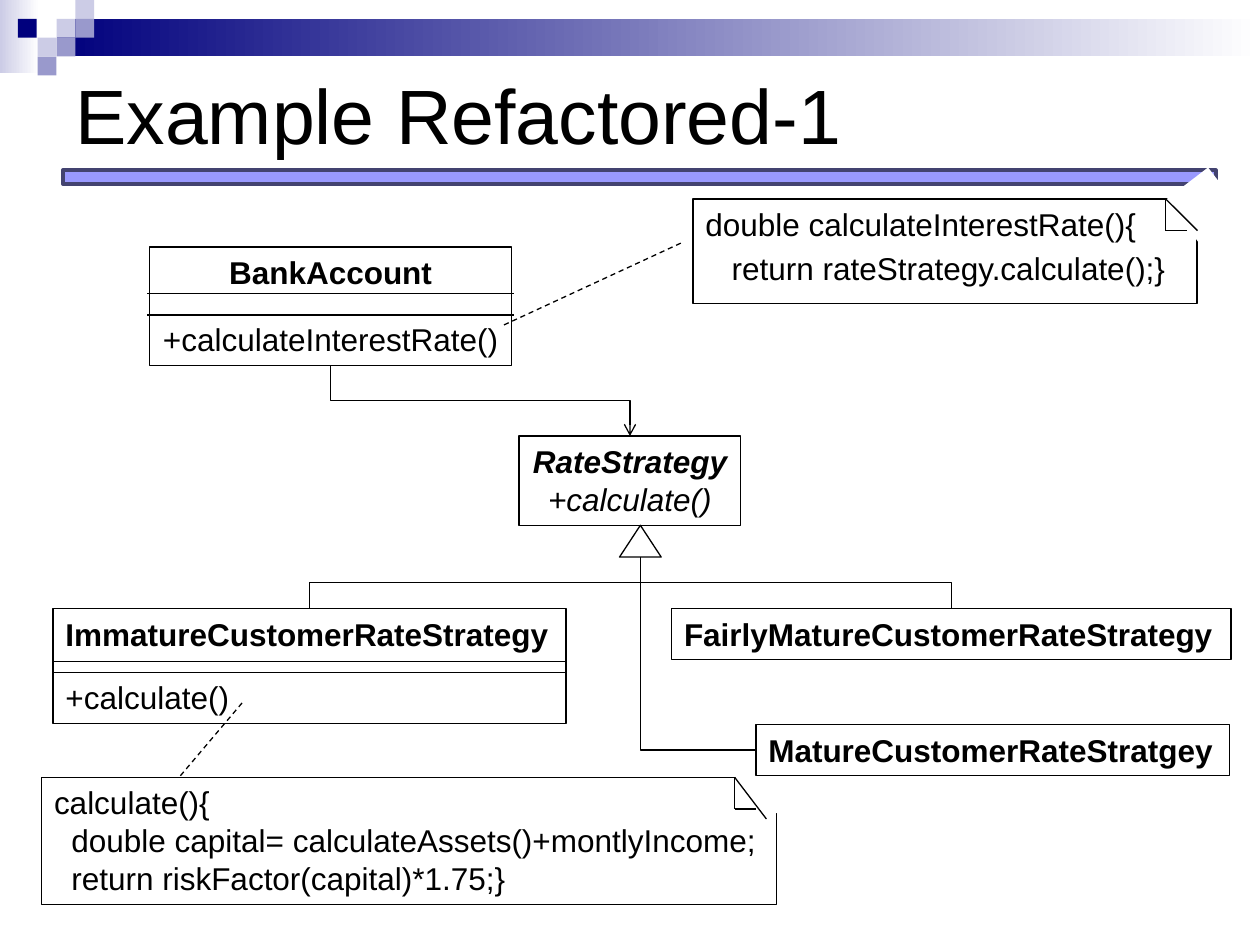
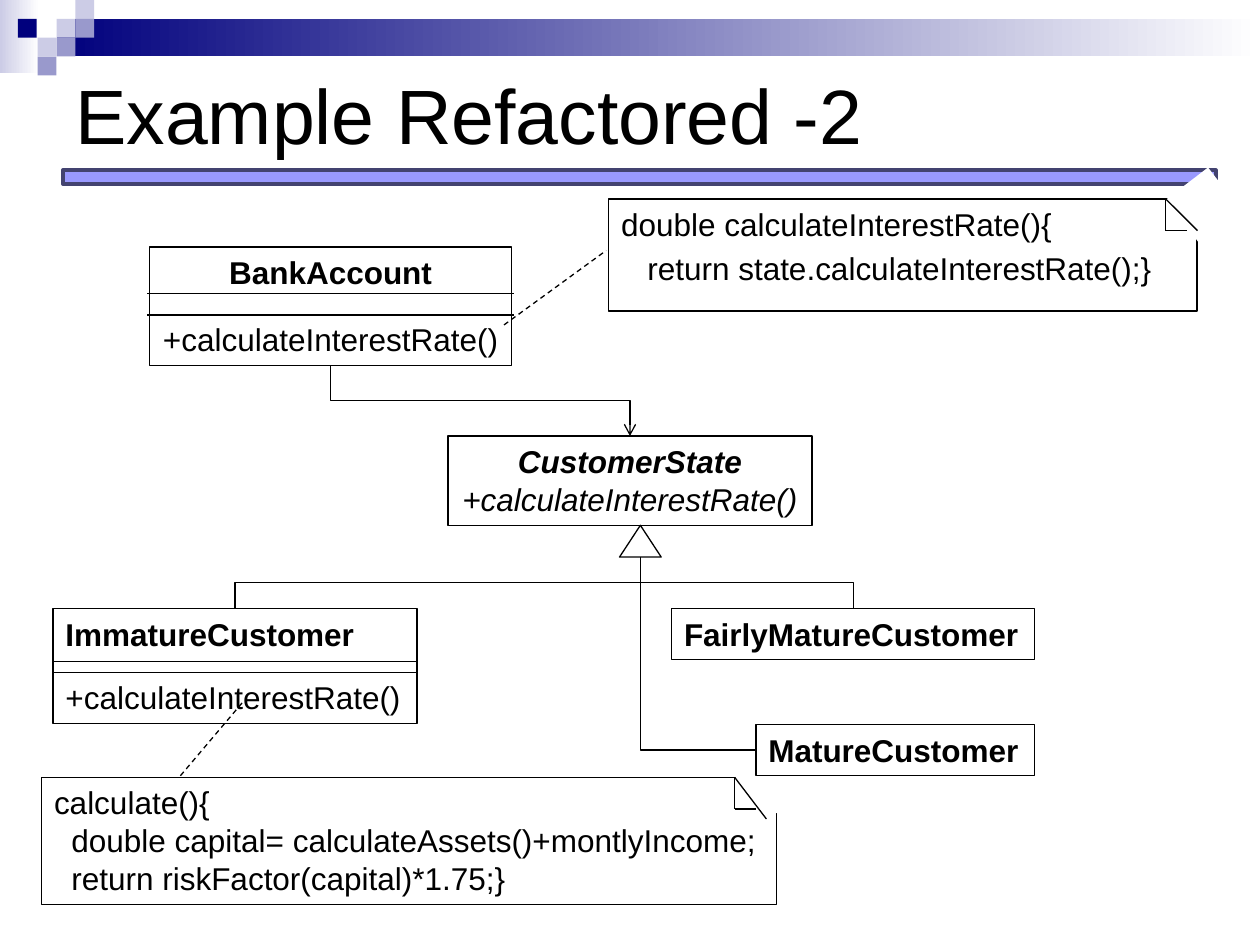
"""Build two class-diagram slides showing a refactored bank account."""
from dataclasses import dataclass

from lxml.etree import SubElement
from pptx import Presentation
from pptx.dml.color import RGBColor
from pptx.enum.dml import MSO_LINE_DASH_STYLE as Dash
from pptx.enum.shapes import MSO_CONNECTOR as Link, MSO_SHAPE as Form
from pptx.enum.text import MSO_ANCHOR as Anchor, PP_ALIGN as Align
from pptx.oxml.ns import qn
from pptx.util import Cm, Pt


@dataclass(frozen=True)
class Theme:
    font: str = "Arial"
    ink: str = "000000"
    paper: str = "FFFFFF"
    navy: str = "00007D"
    mid: str = "9999CC"
    pale: str = "CCCCE6"
    rule: str = "9999FF"
    rule_edge: str = "434370"
    title_size: float = 44
    text_size: float = 18
    leading: float = 21.6
    hairline: float = 0.75


THEME = Theme()

SLIDES = [
    dict(
        title="Example Refactored-1",
        call="return rateStrategy.calculate();}",
        call_note=(13.97, 2.11),
        call_link=(13.77, 4.88),
        parent=("RateStrategy", "+calculate()", 4.47),
        immature=("ImmatureCustomerRateStrategy", "+calculate()", 10.34),
        fairly=("FairlyMatureCustomerRateStrategy", 11.28),
        mature=("MatureCustomerRateStratgey", 9.55),
    ),
    dict(
        title="Example Refactored -2",
        call="return state.calculateInterestRate();}",
        call_note=(12.27, 2.26),
        call_link=(12.22, 5.05),
        parent=("CustomerState", "+calculateInterestRate()", 7.34),
        immature=("ImmatureCustomer", "+calculateInterestRate()", 7.34),
        fairly=("FairlyMatureCustomer", 7.32),
        mature=("MatureCustomer", 5.61),
    ),
]
ACCOUNT = ("BankAccount", "+calculateInterestRate()")
CALL_HEAD = "double calculateInterestRate(){"
FORMULA_HEAD = "calculate(){"
FORMULA_BODY = [
    "double capital= calculateAssets()+montlyIncome;",
    "return riskFactor(capital)*1.75;}",
]

TILE = 0.38
TILES = [(1, 1, THEME.pale), (2, 0, THEME.pale), (2, 1, THEME.mid),
         (0, 2, THEME.pale), (1, 2, THEME.mid), (0, 3, THEME.mid)]
CENTRE = 12.7
HUB = (12.91, 11.23)
CHILD_TOP = 12.27
ROW = 1.02


def color(code):
    return RGBColor.from_string(code)


def add_box(page, left, top, width, height, fill=None, edge=None,
            weight=THEME.hairline, form=Form.RECTANGLE):
    box = page.shapes.add_shape(form, Cm(left), Cm(top), Cm(width), Cm(height))
    box.shadow.inherit = False
    if isinstance(fill, tuple):
        box.fill.gradient()
        box.fill.gradient_angle = 0
        for stop, code in zip(box.fill.gradient_stops, fill):
            stop.color.rgb = color(code)
    elif fill:
        box.fill.solid()
        box.fill.fore_color.rgb = color(fill)
    else:
        box.fill.background()
    if edge:
        box.line.color.rgb = color(edge)
        box.line.width = Pt(weight)
    else:
        box.line.fill.background()
    return box


def write(box, text, size=THEME.text_size, bold=False, italic=False,
          align=Align.LEFT, before=0, indent=0, leading=THEME.leading,
          anchor=Anchor.TOP):
    frame = box.text_frame
    frame.word_wrap = align == Align.LEFT
    frame.vertical_anchor = anchor
    para = frame.add_paragraph() if frame.text else frame.paragraphs[0]
    para.alignment = align
    para.space_before = Pt(before)
    if leading:
        para.line_spacing = Pt(leading)
    if indent:
        para._p.get_or_add_pPr().set("marL", str(Cm(indent)))
    span = para.add_run()
    span.text = text
    span.font.name = THEME.font
    span.font.size = Pt(size)
    span.font.bold = bold
    span.font.italic = italic
    span.font.color.rgb = color(THEME.ink)


def add_line(page, start, end, dashed=False, kind=Link.STRAIGHT):
    line = page.shapes.add_connector(kind, *map(Cm, (*start, *end)))
    line.line.color.rgb = color(THEME.ink)
    line.line.width = Pt(THEME.hairline)
    if dashed:
        line.line.dash_style = Dash.DASH
    SubElement(line._element.spPr, qn("a:effectLst"))
    return line


def add_elbow(page, start, end, corner=False, arrow=False):
    (x1, y1), (x2, y2) = start, end
    mid_x, mid_y = (x1 + x2) / 2, (y1 + y2) / 2
    half_run, half_rise = abs(x2 - x1) / 2, (y2 - y1) / 2
    line = add_line(page, (mid_x - half_rise, mid_y - half_run),
                    (mid_x + half_rise, mid_y + half_run), kind=Link.ELBOW)
    frame = line._element.spPr.find(qn("a:xfrm"))
    if x2 > x1:
        frame.set("rot", str(270 * 60000))
        frame.set("flipH", "1")
    else:
        frame.set("rot", str(90 * 60000))
    if corner:
        line._element.spPr.find(qn("a:prstGeom")).set("prst", "bentConnector2")
    if arrow:
        SubElement(line.line._get_or_add_ln(), qn("a:tailEnd"), type="arrow")


def add_note(page, left, top, width, height, fold, drop):
    box = add_box(page, left, top, width, height, edge=THEME.ink)
    x = left + width - fold
    add_box(page, x + 0.22, top - 0.42, 1.07, 1.07, fill=THEME.paper).rotation = 322.6
    add_line(page, (x, top), (x + 0.64, top + drop))
    add_line(page, (x, top), (x, top + 0.64))
    add_line(page, (x, top + 0.64), (x + 0.43, top + 0.64))
    return box


def add_class(page, left, top, width, height, name, method=None,
              gap=0, rules=(), overhang=0, align=Align.LEFT, italic=False):
    box = add_box(page, left, top, width, height, edge=THEME.ink)
    write(box, name, bold=True, italic=italic, align=align)
    if method:
        write(box, method, italic=italic, align=align, before=gap)
    for y in rules:
        add_line(page, (left - overhang, y), (left + width + overhang, y))


def add_frame(page, title):
    add_box(page, 0, 0, 0.79, 1.47, fill=(THEME.pale, THEME.paper))
    add_box(page, 1.14, TILE, 24.26, 2 * TILE, fill=(THEME.navy, THEME.paper))
    for column, row, code in TILES:
        add_box(page, (2 + column) * TILE, row * TILE, TILE, TILE, fill=code)
    add_box(page, 0.36, TILE, TILE, TILE, fill=THEME.navy)
    add_box(page, 1.27, 3.43, 23.24, 0.28, fill=THEME.rule,
            edge=THEME.rule_edge, weight=2)
    box = page.shapes.add_textbox(Cm(1.27), Cm(0.38), Cm(22.86), Cm(3.81))
    write(box, title, size=THEME.title_size, leading=None, anchor=Anchor.MIDDLE)


def add_diagram(page, content):
    left, height = content["call_note"]
    note = add_note(page, left, 4.01, 24.13 - left, height, 0.63, 0.64)
    write(note, CALL_HEAD)
    write(note, content["call"], before=3.6, indent=0.53)

    note = add_note(page, 0.84, 15.67, 14.81, 2.57, 0.84, 0.84)
    write(note, FORMULA_HEAD)
    for text in FORMULA_BODY:
        write(note, text, indent=0.35)

    add_class(page, 3.02, 4.98, 7.29, 2.39, *ACCOUNT, gap=16.8,
              rules=(5.92, 6.35), overhang=0.05, align=Align.CENTER)
    name, method, width = content["parent"]
    add_class(page, CENTRE - width / 2, 8.79, width, 1.8, name, method,
              align=Align.CENTER, italic=True)
    name, method, immature_width = content["immature"]
    add_class(page, 1.07, CHILD_TOP, immature_width, 2.31, name, method,
              gap=14.4, rules=(13.34, 13.55))
    name, fairly_width = content["fairly"]
    add_class(page, 13.54, CHILD_TOP, fairly_width, ROW, name)
    name, width = content["mature"]
    add_class(page, 15.24, 14.61, width, ROW, name)

    add_box(page, HUB[0] - 0.42, 10.59, 0.84, 0.64, edge=THEME.ink,
            form=Form.ISOSCELES_TRIANGLE)
    add_elbow(page, (6.66, 7.37), (CENTRE, 8.79), arrow=True)
    add_elbow(page, HUB, (1.07 + immature_width / 2, CHILD_TOP))
    add_elbow(page, HUB, (13.54 + fairly_width / 2, CHILD_TOP))
    add_elbow(page, HUB, (15.24, 14.61 + ROW / 2), corner=True)
    add_line(page, (10.16, 6.55), content["call_link"], dashed=True)
    add_line(page, (4.88, 14.17), (3.61, 15.67), dashed=True)


def main():
    deck = Presentation()
    deck.slide_width, deck.slide_height = Cm(25.4), Cm(19.05)
    for content in SLIDES:
        page = deck.slides.add_slide(deck.slide_layouts[6])
        add_frame(page, content["title"])
        add_diagram(page, content)
    deck.save("out.pptx")


if __name__ == "__main__":
    main()
